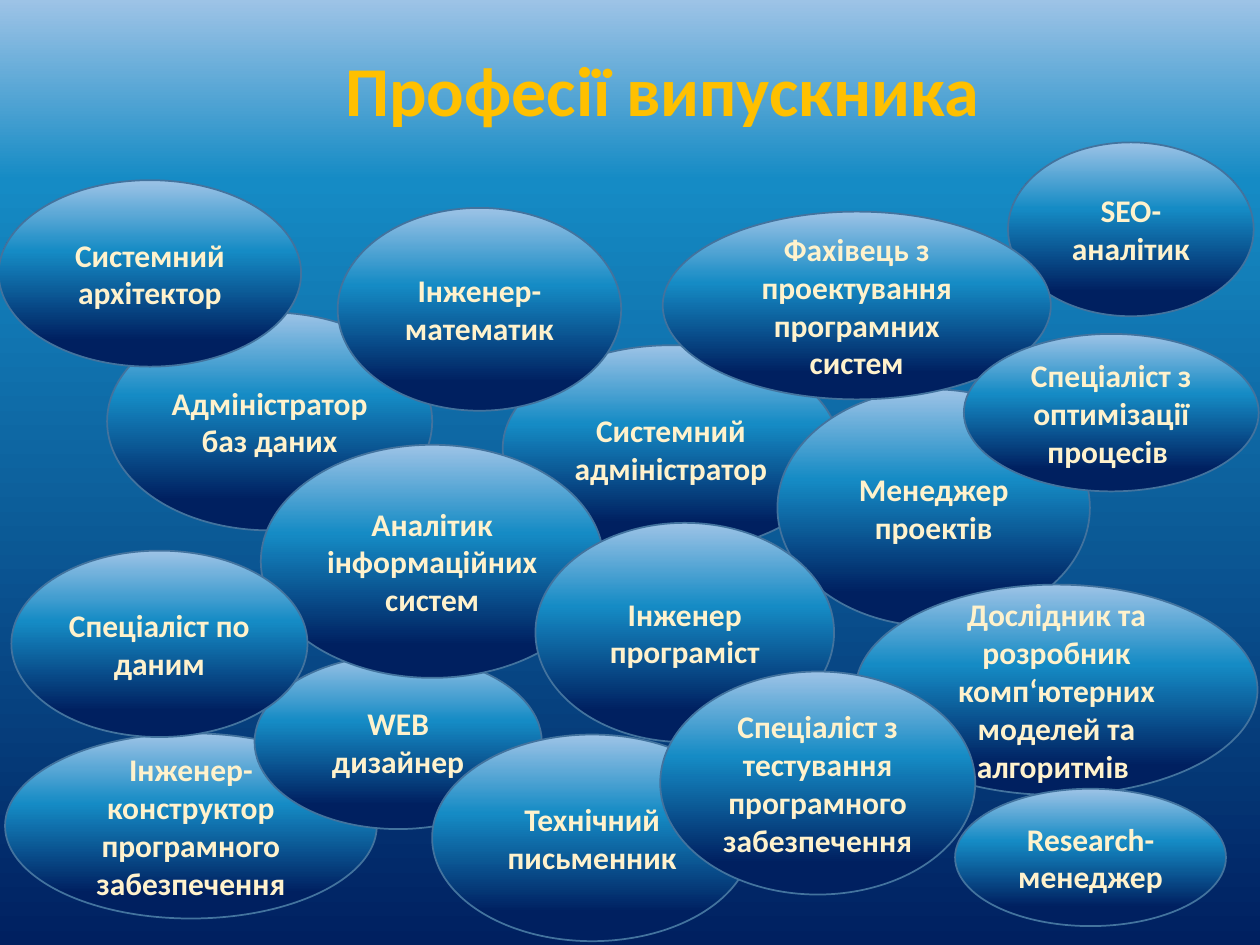
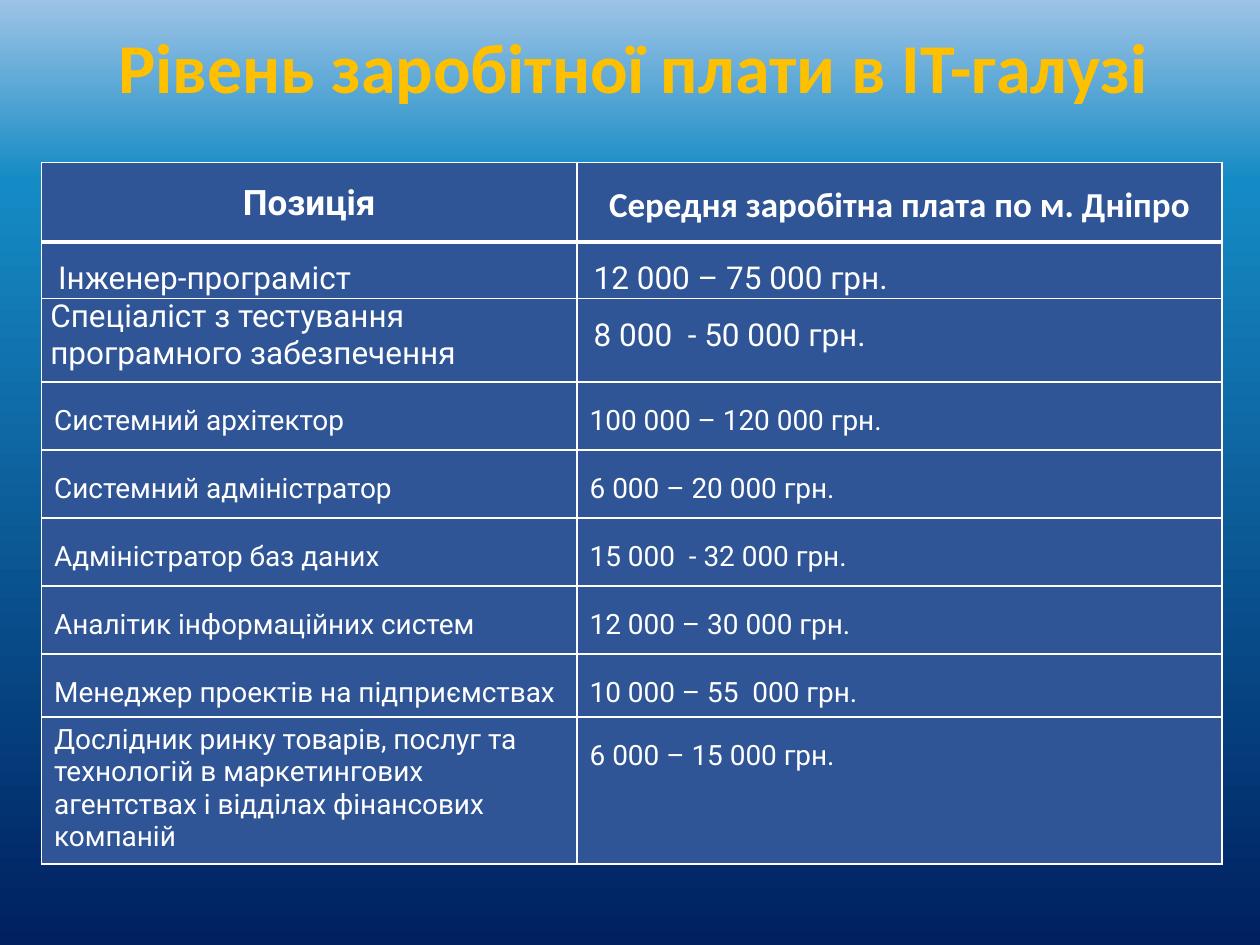
from copy import deepcopy

from pptx import Presentation
from pptx.dml.color import RGBColor
from pptx.enum.shapes import MSO_SHAPE
from pptx.enum.text import MSO_ANCHOR, PP_ALIGN
from pptx.oxml import parse_xml
from pptx.oxml.ns import nsdecls, qn
from pptx.util import Inches, Pt

NAVY = RGBColor(0x00, 0x20, 0x60)
BLUE = RGBColor(0x15, 0x8B, 0xC5)
SKY = RGBColor(0x9D, 0xC3, 0xE6)
EDGE = RGBColor(0x43, 0x73, 0x9E)
CREAM = RGBColor(0xFF, 0xF2, 0xCC)
GOLD = RGBColor(0xFF, 0xC0, 0x00)
WHITE = RGBColor(0xFF, 0xFF, 0xFF)
CELL = RGBColor(0x2F, 0x55, 0x97)

COLS, ROWS = 100, 75
WIDE, HIGH = Inches(10), Inches(7.5)

TITLE = dict(name="Calibri", size=Pt(40), bold=True)
LABEL = dict(name="Calibri", size=Pt(18), bold=True)
HEAD = dict(name="Roboto", size=Pt(20), bold=True)
HEAD_ALT = dict(HEAD, name="Calibri")
LARGE = dict(name="Roboto", size=Pt(18), bold=False)
SMALL = dict(LARGE, size=Pt(16))
TIGHT = dict(margin_left=Inches(0.07), margin_right=Inches(0.07),
             margin_top=0, margin_bottom=0)

JOBS = [
    ("Інженер-конструктор програмного забезпечення", 0.4, 58.2, 29.5, 14.7),
    ("WEB дизайнер", 20.2, 52, 22.8, 13.8),
    ("Технічний письменник", 34.3, 58.3, 25.4, 16.4),
    ("SEO-аналітик", 80, 11.3, 19.5, 13.8),
    ("Системний адміністратор", 39.9, 27.4, 26.7, 16.4),
    ("Адміністратор баз даних", 8.5, 24.8, 25.8, 17.3),
    ("Аналітик інформаційних систем", 20.7, 35.3, 27.2, 18.5),
    ("Менеджер проектів", 61.7, 30.9, 24.8, 18.8),
    ("Спеціаліст по даним", 0.9, 43.7, 23.5, 14.8),
    ("Інженер-математик", 26.8, 16.5, 22.5, 16.1),
    ("Системний архітектор", -0.1, 14.3, 24, 14.8),
    ("Інженер програміст", 42.5, 41.5, 23.7, 17.4),
    ("Фахівець з проектування програмних систем", 52.6, 16.8, 30.8, 14.9),
    ("Дослідник та розробник комп‘ютерних моделей та алгоритмів ",
     67.9, 46.4, 31.9, 16.7),
    ("Спеціаліст з тестування програмного забезпечення",
     52.4, 53.3, 25, 17.7),
    ("Спеціаліст з оптимізації процесів ", 76.5, 26.5, 23.4, 12.5),
    ("Research-менеджер", 75.8, 62.6, 21.5, 10.9),
]

PAY = [
    ("Позиція", "Середня заробітна плата по м. Дніпро"),
    (" Інженер-програміст", " 12 000 – 75 000 грн."),
    ("Спеціаліст з тестування програмного забезпечення",
     " 8 000  - 50 000 грн."),
    ("Системний архітектор", "100 000 – 120 000 грн."),
    ("Системний адміністратор", "6 000 – 20 000 грн."),
    ("Адміністратор баз даних", "15 000  - 32 000 грн."),
    ("Аналітик інформаційних систем", "12 000 – 30 000 грн."),
    ("Менеджер проектів на підприємствах", "10 000 – 55  000 грн."),
    ("Дослідник ринку товарів, послуг та технологій в маркетингових "
     "агентствах і відділах фінансових компаній", "6 000 – 15 000 грн."),
]
WIDTHS = [42.5, 51.2]
HEIGHTS = [6.3, 4.3, 6.6] + [5.4] * 4 + [4.9, 8.9]
DENSE = {(2, 0), (8, 0)}


def apply(item, form):
    for key, value in form.items():
        setattr(item, key, value)


class Deck:
    def __init__(self):
        self.show = Presentation()
        apply(self.show, dict(slide_width=WIDE, slide_height=HIGH))
        self.page = None

    def grid(self, left, top, width, height):
        x, y = WIDE / COLS, HIGH / ROWS
        return [round(n) for n in (left * x, top * y, width * x, height * y)]

    def start(self):
        self.page = self.show.slides.add_slide(self.show.slide_layouts[6])
        self.blend(self.page.background.fill, self.page, (0, 0.81, 1))

    def blend(self, fill, host, spots):
        fill.gradient()
        fill.gradient_angle = 90
        stops = next(host.element.iter(qn("a:gsLst")))
        stops.append(deepcopy(stops[0]))
        for stop, spot, tone in zip(fill.gradient_stops, spots,
                                    (NAVY, BLUE, SKY)):
            stop.position = spot
            stop.color.rgb = tone

    def label(self, frame, text, font, tone, **form):
        line = frame.paragraphs[0]
        apply(line, form)
        run = line.add_run()
        run.text = text
        apply(run.font, font)
        run.font.color.rgb = tone

    def title(self, text, *spot, **form):
        frame = self.page.shapes.add_textbox(*self.grid(*spot)).text_frame
        apply(frame, dict(word_wrap=True, vertical_anchor=MSO_ANCHOR.MIDDLE))
        self.label(frame, text, TITLE, GOLD, alignment=PP_ALIGN.CENTER, **form)

    def bubble(self, text, *spot):
        shape = self.page.shapes.add_shape(
            MSO_SHAPE.FLOWCHART_CONNECTOR, *self.grid(*spot))
        shape.shadow.inherit = False
        self.blend(shape.fill, shape, (0.14, 0.62, 1))
        shape.line.color.rgb = EDGE
        shape.line.width = Pt(1)
        frame = shape.text_frame
        apply(frame, dict(word_wrap=True, vertical_anchor=MSO_ANCHOR.MIDDLE))
        self.label(frame, text, LABEL, CREAM, alignment=PP_ALIGN.CENTER)

    def border(self, cell, row):
        sides = dict(L=1, R=1, T=3 if row == 1 else 1, B=3 if row == 0 else 1)
        props = cell._tc.get_or_add_tcPr()
        for spot, (side, size) in enumerate(sides.items()):
            props.insert(spot, parse_xml(
                f'<a:ln{side} {nsdecls("a")} w="{Pt(size)}"><a:solidFill>'
                f'<a:srgbClr val="{WHITE}"/></a:solidFill></a:ln{side}>'))

    def table(self, data, left, top):
        spot = self.grid(left, top, sum(WIDTHS), sum(HEIGHTS))
        table = self.page.shapes.add_table(
            len(HEIGHTS), len(WIDTHS), *spot).table
        table.horz_banding = False
        for col, width in zip(table.columns, WIDTHS):
            col.width = self.grid(0, 0, width, 0)[2]
        for row, height in zip(table.rows, HEIGHTS):
            row.height = self.grid(0, 0, 0, height)[3]
        for r, texts in enumerate(data):
            for c, text in enumerate(texts):
                self.cell(table.cell(r, c), r, c, text)

    def cell(self, cell, row, col, text):
        cell.fill.solid()
        cell.fill.fore_color.rgb = CELL
        if row < 3:
            apply(cell, TIGHT)
        self.border(cell, row)
        if row == 0:
            font = (HEAD, HEAD_ALT)[col]
        else:
            font = LARGE if row < 3 else SMALL
        form = dict(alignment=PP_ALIGN.LEFT if row else PP_ALIGN.CENTER)
        if (row, col) not in DENSE:
            form["line_spacing"] = 1.5
        self.label(cell.text_frame, text, font, WHITE, **form)


def main():
    deck = Deck()
    deck.start()
    for job in JOBS:
        deck.bubble(*job)
    deck.title("Професії випускника", 16, 3.5, 73.1, 7)
    deck.start()
    deck.title("Рівень заробітної плати в IT-галузі", 5.5, -1.9, 89.5, 15,
               line_spacing=0.9)
    deck.table(PAY, 3.3, 12.9)
    deck.show.save("out.pptx")


if __name__ == "__main__":
    main()
